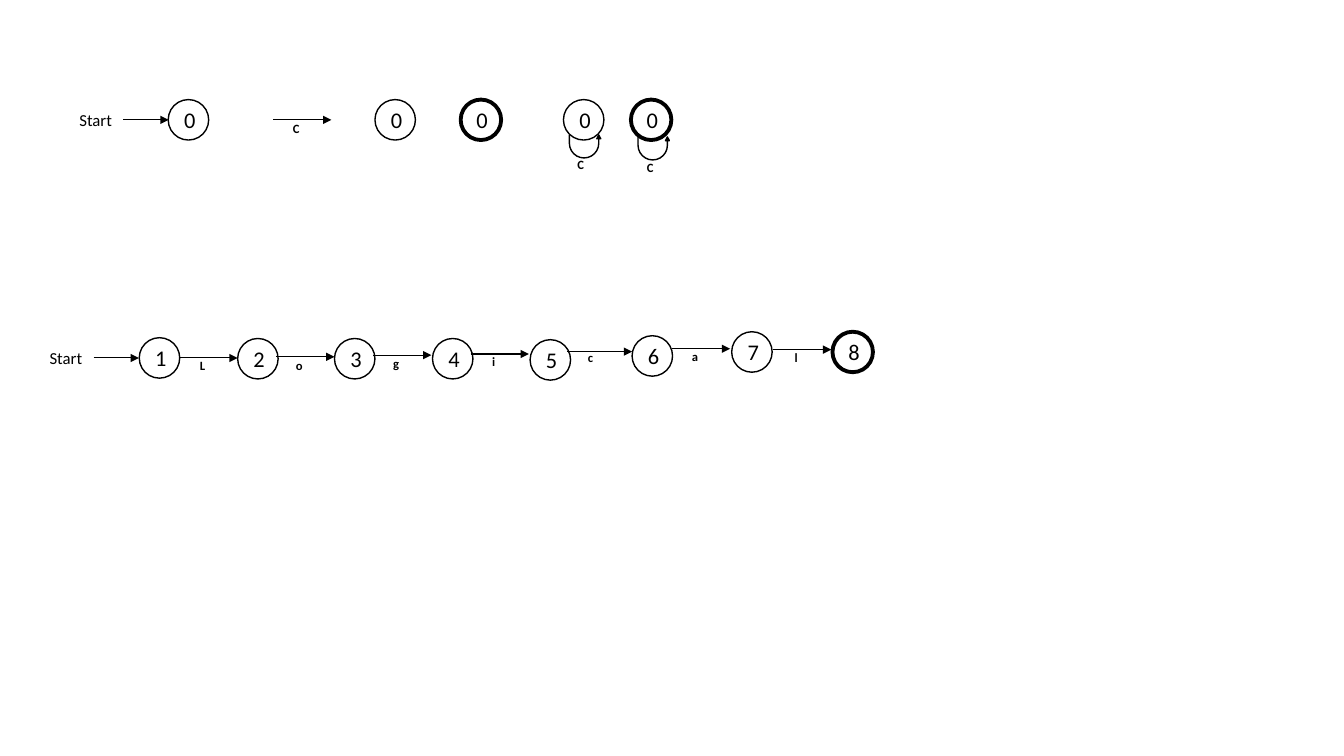
from dataclasses import dataclass

from lxml import etree
from pptx import Presentation, util as u
from pptx.dml.color import RGBColor
from pptx.enum import shapes, text
from pptx.oxml.ns import qn

BLACK = RGBColor(0, 0, 0)
FONT = "Calibri"
DIAMETER = 1.02
START_LENGTH = 1.14
LABEL_WIDTH, LABEL_HEIGHT = 0.41, 0.63
LABEL_INDENT = 0.38
LOOP_ADJUSTMENTS = (0, 0.085, 0.164, 0.717, 1)


@dataclass
class State:
    number: str
    left: float
    top: float
    accepting: bool = False


@dataclass
class Start:
    left: float
    middle: float


@dataclass
class Transition:
    symbol: str
    left: float
    middle: float
    label_top: float
    length: float = 1.47


@dataclass
class Loop:
    symbol: str
    left: float
    top: float
    label_left: float
    label_top: float


STATES = [
    State("0", 4.24, 2.51),
    State("0", 9.45, 2.51),
    State("0", 11.61, 2.51, True),
    State("0", 14.2, 2.51),
    State("0", 15.9, 2.51, True),
    State("1", 3.51, 8.51),
    State("2", 5.99, 8.53),
    State("3", 8.43, 8.53),
    State("4", 10.9, 8.53),
    State("5", 13.36, 8.56),
    State("6", 15.93, 8.46),
    State("7", 18.44, 8.36),
    State("8", 20.98, 8.36, True),
]
STARTS = [Start(1.75, 3.02), Start(1, 9.02)]
TRANSITIONS = [
    Transition("C", 6.88, 3.02, 2.92),
    Transition("L", 4.52, 9.02, 8.9),
    Transition("o", 6.96, 8.99, 8.89),
    Transition("g", 9.4, 8.95, 8.84),
    Transition("i", 11.86, 8.92, 8.8),
    Transition("c", 14.3, 8.86, 8.69, 1.63),
    Transition("a", 16.93, 8.79, 8.66),
    Transition("l", 19.48, 8.81, 8.69),
]
LOOPS = [
    Loop("C", 14.35, 3.4, 14.43, 3.84),
    Loop("C", 16.08, 3.45, 16.18, 3.91),
]


def format_text(frame, words: str, size: float, bold: bool = False) -> None:
    frame.text = words
    font = frame.paragraphs[0].font
    font.name, font.size, font.bold = FONT, u.Pt(size), bold
    font.color.rgb = BLACK


def draw_arrow(canvas, left: float, middle: float, length: float) -> None:
    arrow = canvas.add_connector(
        shapes.MSO_CONNECTOR.STRAIGHT,
        u.Cm(left), u.Cm(middle), u.Cm(left + length), u.Cm(middle))
    arrow.line.color.rgb = BLACK
    arrow.line.width = u.Pt(0.75)
    etree.SubElement(arrow.line._get_or_add_ln(), qn("a:tailEnd"), type="triangle")
    etree.SubElement(arrow._element.spPr, qn("a:effectLst"))


def draw_label(canvas, symbol: str, left: float, top: float) -> None:
    label = canvas.add_textbox(u.Cm(left), u.Cm(top), u.Cm(LABEL_WIDTH), u.Cm(LABEL_HEIGHT))
    frame = label.text_frame
    frame.margin_left = frame.margin_right = 0
    format_text(frame, symbol, 9, bold=True)
    frame.paragraphs[0].alignment = text.PP_ALIGN.CENTER


def draw_state(canvas, state: State) -> None:
    circle = canvas.add_shape(
        shapes.MSO_SHAPE.OVAL, u.Cm(state.left), u.Cm(state.top), u.Cm(DIAMETER), u.Cm(DIAMETER))
    circle.shadow.inherit = False
    circle.fill.background()
    circle.line.color.rgb = BLACK
    circle.line.width = u.Pt(2.75 if state.accepting else 1)
    frame = circle.text_frame
    frame.vertical_anchor = text.MSO_ANCHOR.MIDDLE
    format_text(frame, state.number, 16)
    frame.paragraphs[0].alignment = text.PP_ALIGN.CENTER


def draw_start(canvas, start: Start) -> None:
    caption = canvas.add_textbox(
        u.Cm(start.left), u.Cm(start.middle - 0.38), u.Cm(1.35), u.Cm(0.77))
    format_text(caption.text_frame, "Start", 12)
    draw_arrow(canvas, start.left + 1.36, start.middle, START_LENGTH)


def draw_transition(canvas, transition: Transition) -> None:
    draw_arrow(canvas, transition.left, transition.middle, transition.length)
    draw_label(canvas, transition.symbol, transition.left + LABEL_INDENT, transition.label_top)


def draw_loop(canvas, loop: Loop) -> None:
    bend = canvas.add_shape(
        shapes.MSO_SHAPE.U_TURN_ARROW, u.Cm(loop.left), u.Cm(loop.top), u.Cm(0.79), u.Cm(0.58))
    for index, value in enumerate(LOOP_ADJUSTMENTS):
        bend.adjustments[index] = value
    bend.rotation = 180
    bend._element.spPr.xfrm.set("flipH", "1")
    bend.shadow.inherit = False
    bend.fill.solid()
    bend.fill.fore_color.rgb = BLACK
    bend.line.color.rgb = BLACK
    bend.line.width = u.Pt(1)
    draw_label(canvas, loop.symbol, loop.label_left, loop.label_top)


def main() -> None:
    deck = Presentation()
    deck.slide_width, deck.slide_height = u.Cm(33.87), u.Cm(19.05)
    canvas = deck.slides.add_slide(deck.slide_layouts[6]).shapes
    for start in STARTS:
        draw_start(canvas, start)
    for state in STATES:
        draw_state(canvas, state)
    for transition in TRANSITIONS:
        draw_transition(canvas, transition)
    for loop in LOOPS:
        draw_loop(canvas, loop)
    deck.save("out.pptx")


if __name__ == "__main__":
    main()
